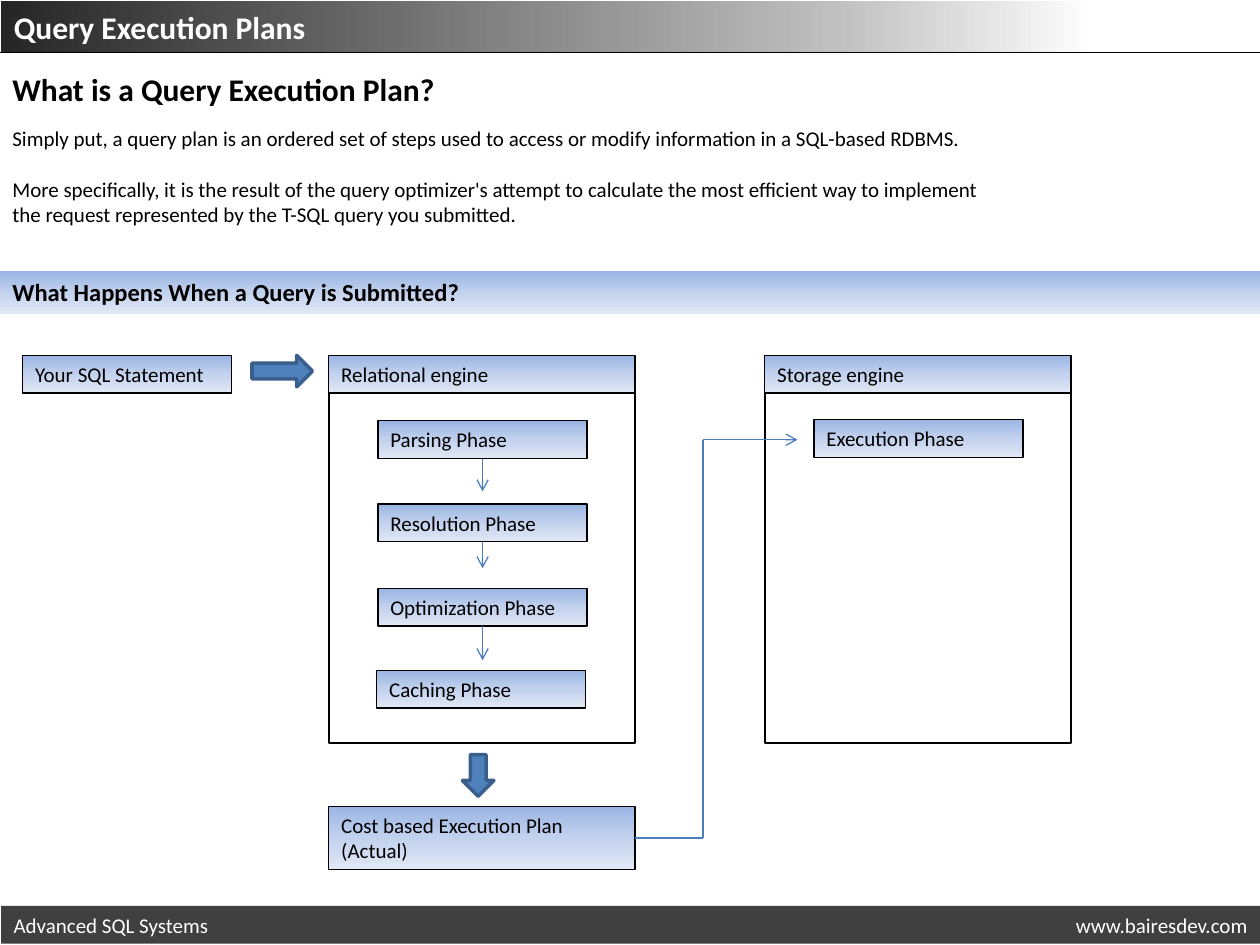
from dataclasses import dataclass
from typing import NamedTuple, Optional

from lxml.etree import SubElement
from pptx import Presentation
from pptx.dml.color import RGBColor
from pptx.enum.shapes import MSO_CONNECTOR as Connector, MSO_SHAPE as Preset
from pptx.enum.text import MSO_ANCHOR as Anchor, MSO_AUTO_SIZE as AutoSize, PP_ALIGN as Align
from pptx.oxml.ns import qn
from pptx.util import Inches, Pt


class Gradient(NamedTuple):
    stops: tuple
    angle: int


@dataclass(frozen=True)
class Theme:
    font: str = "Calibri"
    black: str = "000000"
    white: str = "FFFFFF"
    footer: str = "404040"
    arrow: str = "4F81BD"
    arrow_edge: str = "3A5F8C"
    flow: str = "4B7EBC"
    blue: Gradient = Gradient(((0, "9AB5E4"), (50, "C2D1ED"), (100, "E1E8F5")), 270)
    header: Gradient = Gradient(((0, "262626"), (66, "BFBFBF"), (87, "FFFFFF")), 0)
    heading: int = 18
    subheading: int = 14
    body: int = 12
    line_gap: float = 14.4


THEME = Theme()


@dataclass(frozen=True)
class Box:
    left: float
    top: float
    width: float
    height: float
    text: str = ""
    fill: object = None
    edge: Optional[str] = None
    edge_width: float = 0.75
    size: int = THEME.body
    bold: bool = False
    color: str = THEME.black
    align: Align = Align.LEFT
    preset: Preset = Preset.RECTANGLE


class Flow(NamedTuple):
    start: tuple
    end: tuple
    color: str = THEME.flow
    width: float = 0.75
    arrowhead: bool = False


def place(shape, box: Box) -> None:
    """Give a shape the position and size of a box."""
    shape.left, shape.top = Inches(box.left), Inches(box.top)
    shape.width, shape.height = Inches(box.width), Inches(box.height)


def paint(shape, box: Box) -> None:
    """Apply the fill and outline of a box."""
    if isinstance(box.fill, Gradient):
        shape.fill.gradient()
        shape.fill.gradient_angle = box.fill.angle
        stop_list = next(shape._element.iter(qn("a:gsLst")))
        for stop in list(stop_list):
            stop_list.remove(stop)
        for percent, color in box.fill.stops:
            stop = SubElement(stop_list, qn("a:gs"), pos=str(percent * 1000))
            SubElement(stop, qn("a:srgbClr"), val=color)
    elif box.fill:
        shape.fill.solid()
        shape.fill.fore_color.rgb = RGBColor.from_string(box.fill)
    else:
        shape.fill.background()
    if box.edge:
        shape.line.color.rgb = RGBColor.from_string(box.edge)
        shape.line.width = Pt(box.edge_width)
    else:
        shape.line.fill.background()


def write(shape, box: Box, lines: tuple, gap_before: tuple = ()) -> None:
    """Write one paragraph per line, with a gap before the listed ones."""
    frame = shape.text_frame
    frame.word_wrap = True
    frame.auto_size = AutoSize.NONE
    frame.vertical_anchor = Anchor.TOP
    for index, line in enumerate(lines):
        paragraph = frame.add_paragraph() if index else frame.paragraphs[0]
        paragraph.alignment = box.align
        paragraph.space_before = Pt(THEME.line_gap if index in gap_before else 0)
        run = paragraph.add_run()
        run.text = line
        run.font.name = THEME.font
        run.font.size = Pt(box.size)
        run.font.bold = box.bold
        run.font.color.rgb = RGBColor.from_string(box.color)


def draw_box(slide, box: Box):
    """Add a preset shape with its text."""
    shape = slide.shapes.add_shape(box.preset, 0, 0, 0, 0)
    place(shape, box)
    shape.shadow.inherit = False
    paint(shape, box)
    if box.text:
        write(shape, box, (box.text,))
    return shape


def draw_flow(slide, flow: Flow):
    """Add a straight line, with an open arrowhead if asked."""
    ends = [Inches(value) for value in flow.start + flow.end]
    connector = slide.shapes.add_connector(Connector.STRAIGHT, *ends)
    connector.line.color.rgb = RGBColor.from_string(flow.color)
    connector.line.width = Pt(flow.width)
    if flow.arrowhead:
        SubElement(connector.line._get_or_add_ln(), qn("a:tailEnd"), type="arrow")
    SubElement(connector._element.spPr, qn("a:effectLst"))
    return connector


def draw_text(slide, box: Box, lines: tuple, gap_before: tuple = ()) -> None:
    """Add a plain text box."""
    text_box = slide.shapes.add_textbox(0, 0, 0, 0)
    place(text_box, box)
    write(text_box, box, lines, gap_before)


def step(left: float, top: float, text: str, width: float = 1.66, height: float = 0.3) -> Box:
    """Describe a labelled box of the diagram."""
    return Box(left, top, width, height, text, THEME.blue, THEME.black)


def draw_diagram(slide) -> None:
    """Draw the path of a query through both engines."""
    relational, storage, engine_width = 2.61, 6.07, 2.43
    for left, name in ((relational, "Relational engine"), (storage, "Storage engine")):
        draw_box(slide, Box(left, 3.12, engine_width, 2.78, edge=THEME.black, edge_width=1))
        draw_box(slide, step(left, 2.82, name, engine_width))
    draw_box(slide, step(0.18, 2.82, "Your SQL Statement"))
    draw_box(slide, step(6.46, 3.33, "Execution Phase"))
    plan = draw_box(slide, step(relational, 6.4, "Cost based Execution Plan (Actual)", engine_width, 0.5))

    phases = (
        (3, 3.34, "Parsing Phase", 3.9),
        (3, 4, "Resolution Phase", 4.51),
        (3, 4.67, "Optimization Phase", 5.24),
        (2.99, 5.32, "Caching Phase", None),
    )
    for left, top, name, arrow_end in phases:
        phase = draw_box(slide, step(left, top, name))
        if arrow_end:
            arrow = draw_flow(slide, Flow((3.83, top + 0.3), (3.83, arrow_end), arrowhead=True))
            arrow.begin_connect(phase, 2)

    for place_at, preset in (((2, 2.82, 0.48, 0.25), Preset.RIGHT_ARROW),
                             ((3.67, 5.99, 0.25, 0.33), Preset.DOWN_ARROW)):
        draw_box(slide, Box(*place_at, fill=THEME.arrow, edge=THEME.arrow_edge, edge_width=2, preset=preset))

    lower, upper = (5.58, 6.65), (5.58, 3.49)
    draw_flow(slide, Flow(lower, upper))
    draw_flow(slide, Flow(lower, (5.04, 6.65))).end_connect(plan, 3)
    draw_flow(slide, Flow(upper, (6.33, 3.49), arrowhead=True))


def main() -> None:
    """Build and save the slide."""
    deck = Presentation()
    deck.slide_width, deck.slide_height = Inches(10), Inches(7.5)
    slide = deck.slides.add_slide(deck.slide_layouts[5])

    header = Box(0.01, 0.01, 10, 0.4, fill=THEME.header, size=THEME.heading, bold=True, color=THEME.white)
    title = slide.shapes.title
    place(title, header)
    paint(title, header)
    write(title, header, ("Query Execution Plans",))
    draw_flow(slide, Flow((0, 0.42), (10.01, 0.42), THEME.black, 0.5))

    draw_text(slide, Box(0, 0.51, 10, 0.4, size=THEME.heading, bold=True), ("What is a Query Execution Plan?",))
    draw_text(slide, Box(0, 0.95, 10, 0.91), (
        "Simply put, a query plan is an ordered set of steps used to access or modify information in a SQL-based RDBMS.",
        "More specifically, it is the result of the query optimizer's attempt to calculate the most efficient way to implement",
        "the request represented by the T-SQL query you submitted.",
    ), gap_before=(1,))
    draw_box(slide, Box(0, 2.15, 10, 0.34, "What Happens When a Query is Submitted?", THEME.blue,
                        size=THEME.subheading, bold=True))
    draw_diagram(slide)

    for left, width, text, align in ((8.15, 1.85, "www.bairesdev.com", Align.RIGHT),
                                     (0.01, 8.14, "Advanced SQL Systems", Align.LEFT)):
        draw_box(slide, Box(left, 7.19, width, 0.3, text, THEME.footer, color=THEME.white, align=align))
    deck.save("out.pptx")


if __name__ == "__main__":
    main()
